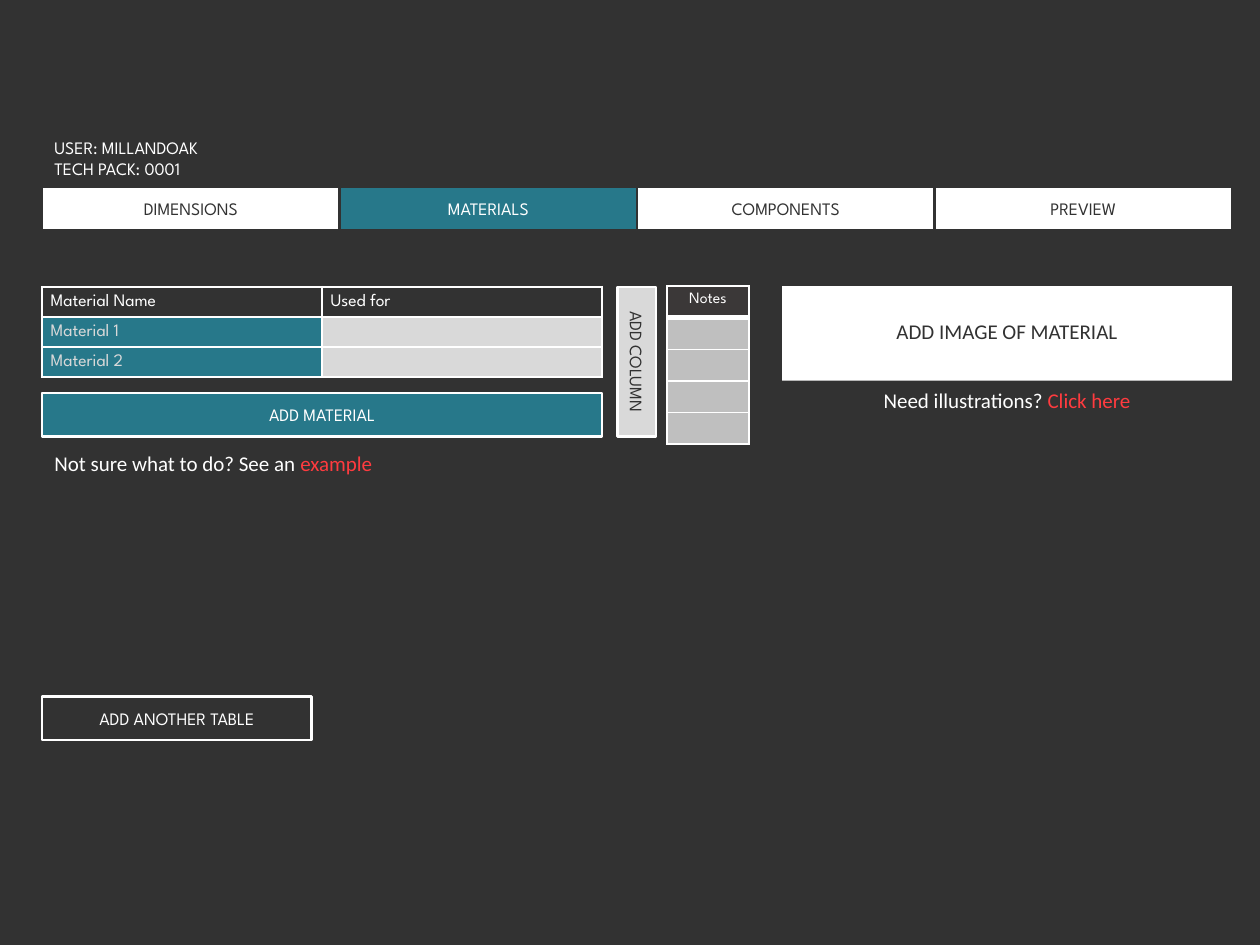
from lxml import etree
from pptx import Presentation
from pptx.dml.color import RGBColor
from pptx.enum.shapes import MSO_SHAPE
from pptx.enum.text import MSO_ANCHOR, PP_ALIGN
from pptx.oxml.ns import qn
from pptx.util import Pt

DARK, WHITE, TEAL, RED = "323232", "FFFFFF", "27788A", "FF3B3F"
LIGHT, GREY, BROWN = "D9D9D9", "BFBFBF", "3B3838"
SPARTAN, CALIBRI = "League Spartan", "Calibri"


def color(value):
    return RGBColor.from_string(value)


def paint(part, fill):
    part.fill.solid()
    part.fill.fore_color.rgb = color(fill)


def write(frame, lines, font, size, align=PP_ALIGN.LEFT):
    for index, runs in enumerate(lines):
        paragraph = frame.add_paragraph() if index else frame.paragraphs[0]
        paragraph.alignment = align
        for text, ink in runs:
            run = paragraph.add_run()
            run.text = text
            run.font.name = font
            run.font.size = Pt(size)
            run.font.color.rgb = color(ink)


def add_box(slide, box, fill, line, runs, font=SPARTAN, size=10, anchor=MSO_ANCHOR.MIDDLE):
    shape = slide.shapes.add_shape(MSO_SHAPE.RECTANGLE, *map(Pt, box))
    shape.shadow.inherit = False
    paint(shape, fill)
    if line:
        shape.line.color.rgb = color(line)
        shape.line.width = Pt(1.5)
    else:
        shape.line.fill.background()
    shape.text_frame.word_wrap = True
    shape.text_frame.vertical_anchor = anchor
    write(shape.text_frame, [runs], font, size, PP_ALIGN.CENTER)
    return shape


def add_text(slide, box, lines, font, size, anchor=MSO_ANCHOR.TOP):
    frame = slide.shapes.add_textbox(*map(Pt, box)).text_frame
    frame.word_wrap = True
    frame.vertical_anchor = anchor
    write(frame, lines, font, size)


def set_borders(cell, widths):
    properties = cell._tc.get_or_add_tcPr()
    for index, (side, width) in enumerate(zip(("lnL", "lnR", "lnT", "lnB"), widths)):
        line = etree.Element(qn("a:" + side), w=str(Pt(width)))
        fill = etree.SubElement(line, qn("a:solidFill"))
        etree.SubElement(fill, qn("a:srgbClr"), val=WHITE)
        properties.insert(index, line)


def add_grid(slide, box, rows, size, align, margins, borders, anchor):
    left, top, width, height = box
    columns = len(rows[0])
    frame = slide.shapes.add_table(len(rows), columns, *map(Pt, box))
    table = frame.table
    table.first_row = table.horz_banding = False
    for column in table.columns:
        column.width = Pt(width / columns)
    for r, row in enumerate(rows):
        table.rows[r].height = Pt(height / len(rows))
        for c, (text, ink, fill) in enumerate(row):
            cell = table.cell(r, c)
            paint(cell, fill)
            set_borders(cell, borders(r))
            cell.margin_left = cell.margin_right = Pt(margins[0])
            cell.margin_top = cell.margin_bottom = Pt(margins[1])
            cell.vertical_anchor = anchor
            if text:
                write(cell.text_frame, [[(text, ink)]], SPARTAN, size, align)
            else:
                paragraph = cell.text_frame.paragraphs[0]._p
                etree.SubElement(paragraph, qn("a:endParaRPr"), sz=str(size * 100))


def add_header(slide, left, top, width):
    add_text(slide, (left, top, 170, 25),
             [[("USER: MILLANDOAK", WHITE)], [("TECH PACK: 0001", WHITE)]],
             SPARTAN, 10, MSO_ANCHOR.MIDDLE)
    tabs = ("DIMENSIONS", "MATERIALS", "COMPONENTS", "PREVIEW")
    tab_width = width / len(tabs)
    for index, tab in enumerate(tabs):
        fill, ink = (TEAL, WHITE) if tab == "MATERIALS" else (WHITE, DARK)
        add_box(slide, (left + index * tab_width, top + 28.5, tab_width, 25),
                fill, DARK, [(tab, ink)])


def add_materials(slide, left, top, width):
    rows = [[("Material Name", WHITE, DARK), ("Used for", WHITE, DARK)]]
    rows += [[(name, LIGHT, TEAL), ("", LIGHT, LIGHT)] for name in ("Material 1", "Material 2")]
    add_grid(slide, (left, top, width, 51.3), rows, 10, PP_ALIGN.LEFT, (5, 0),
             lambda row: (1.5,) * 4, MSO_ANCHOR.MIDDLE)
    add_box(slide, (left, top + 60.5, width, 25), TEAL, WHITE, [("ADD MATERIAL", WHITE)])
    add_text(slide, (left, top + 90, 257, 35),
             [[("Not sure what to do? See an ", WHITE), ("example", RED)]], CALIBRI, 12)
    add_box(slide, (left, top + 234, 154, 25), DARK, WHITE, [("ADD ANOTHER TABLE", WHITE)])


def add_notes(slide, left, top):
    button = add_box(slide, (left, top, 22, 85.5), LIGHT, WHITE, [("ADD COLUMN", DARK)])
    button.text_frame._txBody.bodyPr.set("vert", "vert")
    rows = [[("Notes", WHITE, BROWN)]] + [[("", WHITE, GREY)]] * 4
    add_grid(slide, (left + 28, top - 0.5, 47, 86), rows, 9, PP_ALIGN.CENTER, (7.2, 3.6),
             lambda row: (1, 1, 3 if row == 1 else 1, 3 if row == 0 else 1), MSO_ANCHOR.TOP)


def add_illustration(slide, left, top, width):
    picture_button = add_box(slide, (left, top, width, 54), WHITE, None,
                             [("ADD IMAGE OF MATERIAL", DARK)], CALIBRI, 12)
    picture_button.text_frame.margin_bottom = Pt(6)
    add_box(slide, (left, top + 54.5, width, 27.5), DARK, None,
            [("Need illustrations? ", WHITE), ("Click here", RED)],
            CALIBRI, 12, MSO_ANCHOR.TOP)


presentation = Presentation()
presentation.slide_width, presentation.slide_height = Pt(720), Pt(540)
slide = presentation.slides.add_slide(presentation.slide_layouts[6])
paint(slide.background, DARK)
add_header(slide, 24, 78, 680)
add_materials(slide, 24, 164, 320)
add_notes(slide, 353, 164)
add_illustration(slide, 447, 163.5, 257)
presentation.save("out.pptx")
